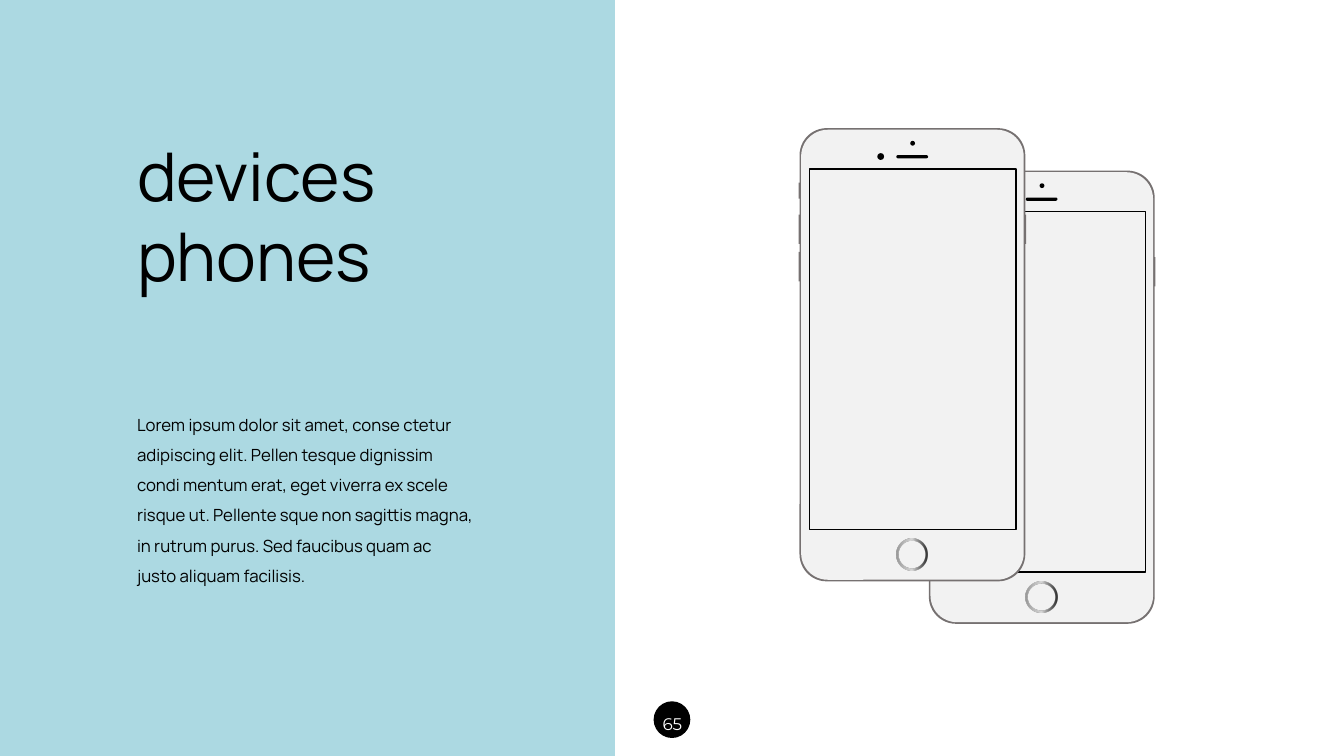
from lxml.etree import SubElement
from pptx import Presentation
from pptx.dml.color import RGBColor
from pptx.enum.shapes import MSO_SHAPE
from pptx.enum.text import MSO_ANCHOR, MSO_AUTO_SIZE, PP_ALIGN
from pptx.oxml.ns import qn
from pptx.util import Cm, Pt

TITLE = ["devices", "phones"]
BODY = [
    "Lorem ipsum dolor sit amet, conse ctetur adipiscing elit. "
    "Pellen tesque dignissim condi mentum erat, eget viverra ex scele "
    "risque ut. Pellente sque non sagittis magna, in rutrum purus. "
    "Sed faucibus quam ac justo aliquam facilisis."
]
PAGE = ["65"]

BLACK, WHITE, EDGE, CASE, PANEL = "000000", "FFFFFF", "767171", "F2F2F2", "ACD9E2"
RING = [(0, "979797", 100), (50, "D7D7D7", 100), (100, BLACK, 80)]

RECT, OVAL = MSO_SHAPE.RECTANGLE, MSO_SHAPE.OVAL
ROUND, DONUT = MSO_SHAPE.ROUNDED_RECTANGLE, MSO_SHAPE.DONUT

KEYS = [
    (RECT, (-0.02, 1.37, 0.1, 0.41), EDGE, None, None),
    (RECT, (-0.02, 2.18, 0.1, 0.74), EDGE, None, None),
    (RECT, (-0.02, 3.12, 0.1, 0.74), EDGE, None, None),
]
PARTS = [
    (RECT, (5.61, 2.18, 0.1, 0.74), EDGE, None, None),
    (ROUND, (0, 0, 5.69, 11.42), EDGE, None, 0.12),
    (ROUND, (0.04, 0.04, 5.61, 11.34), CASE, None, 0.12),
    (OVAL, (2.79, 0.32, 0.12, 0.12), BLACK, None, None),
    (ROUND, (2.44, 0.68, 0.8, 0.08), BLACK, None, 0.5),
    (DONUT, (2.44, 10.35, 0.79, 0.79), RING, None, 0.08),
    (RECT, (0.25, 1.03, 5.21, 9.09), None, BLACK, None),
]
LENS = [(OVAL, (1.96, 0.63, 0.17, 0.17), BLACK, None, None)]
PHONES = [
    (23.41, 4.3, PARTS),
    (20.15, 3.23, KEYS + PARTS + LENS),
]


def color(code):
    return RGBColor.from_string(code)


def blend(shape, stops):
    shape.fill.gradient()
    shape.fill.gradient_angle = 0
    group = shape.element.spPr.find(".//" + qn("a:gsLst"))
    for old in list(group):
        group.remove(old)
    for pos, code, solid in stops:
        stop = SubElement(group, qn("a:gs"), pos=str(pos * 1000))
        tint = SubElement(stop, qn("a:srgbClr"), val=code)
        if solid < 100:
            SubElement(tint, qn("a:alpha"), val=str(solid * 1000))


def draw(slide, kind, box, fill, line=None, curve=None):
    shape = slide.shapes.add_shape(kind, *map(Cm, box))
    shape.shadow.inherit = False
    if curve is not None:
        shape.adjustments[0] = curve
    if fill is None:
        shape.fill.background()
    elif isinstance(fill, list):
        blend(shape, fill)
    else:
        shape.fill.solid()
        shape.fill.fore_color.rgb = color(fill)
    if line:
        shape.line.color.rgb = color(line)
        shape.line.width = Pt(1)
    else:
        shape.line.fill.background()
    return shape


def write(shape, box, lines, size, font, tint, gap=1.0, align=PP_ALIGN.LEFT):
    shape.left, shape.top, shape.width, shape.height = map(Cm, box)
    frame = shape.text_frame
    frame.word_wrap = True
    frame.auto_size = MSO_AUTO_SIZE.NONE
    frame.vertical_anchor = MSO_ANCHOR.TOP
    for i, line in enumerate(lines):
        para = frame.add_paragraph() if i else frame.paragraphs[0]
        props = para._p.get_or_add_pPr()
        props.set("marL", "0")
        props.set("indent", "0")
        SubElement(props, qn("a:buNone"))
        para.alignment = align
        para.line_spacing = gap
        para.space_before = Pt(0)
        run = para.add_run()
        run.text = line
        run.font.size = Pt(size)
        run.font.name = font
        run.font.color.rgb = color(tint)


def main():
    deck = Presentation()
    deck.slide_width, deck.slide_height = Cm(33.87), Cm(19.05)
    slide = deck.slides.add_slide(deck.slide_layouts[1])
    title, body = slide.placeholders

    panel = draw(slide, RECT, (0, 0, 15.5, 19.05), PANEL)
    title.element.addprevious(panel.element)
    write(title, (3.2, 3.25, 8.41, 4.37), TITLE, 48, "Manrope", BLACK)
    write(body, (3.2, 10.06, 8.99, 4.88), BODY, 12, "Manrope", BLACK, 1.5)

    for left, top, parts in PHONES:
        for kind, (x, y, w, h), fill, line, curve in parts:
            draw(slide, kind, (left + x, top + y, w, h), fill, line, curve)

    draw(slide, OVAL, (16.49, 17.69, 0.89, 0.89), BLACK, BLACK)
    box = (16.31, 17.6, 1.27, 0.94)
    page = slide.shapes.add_textbox(*map(Cm, box))
    write(page, box, PAGE, 12, "Montserrat", WHITE, 1.5, PP_ALIGN.CENTER)
    deck.save("out.pptx")


if __name__ == "__main__":
    main()
